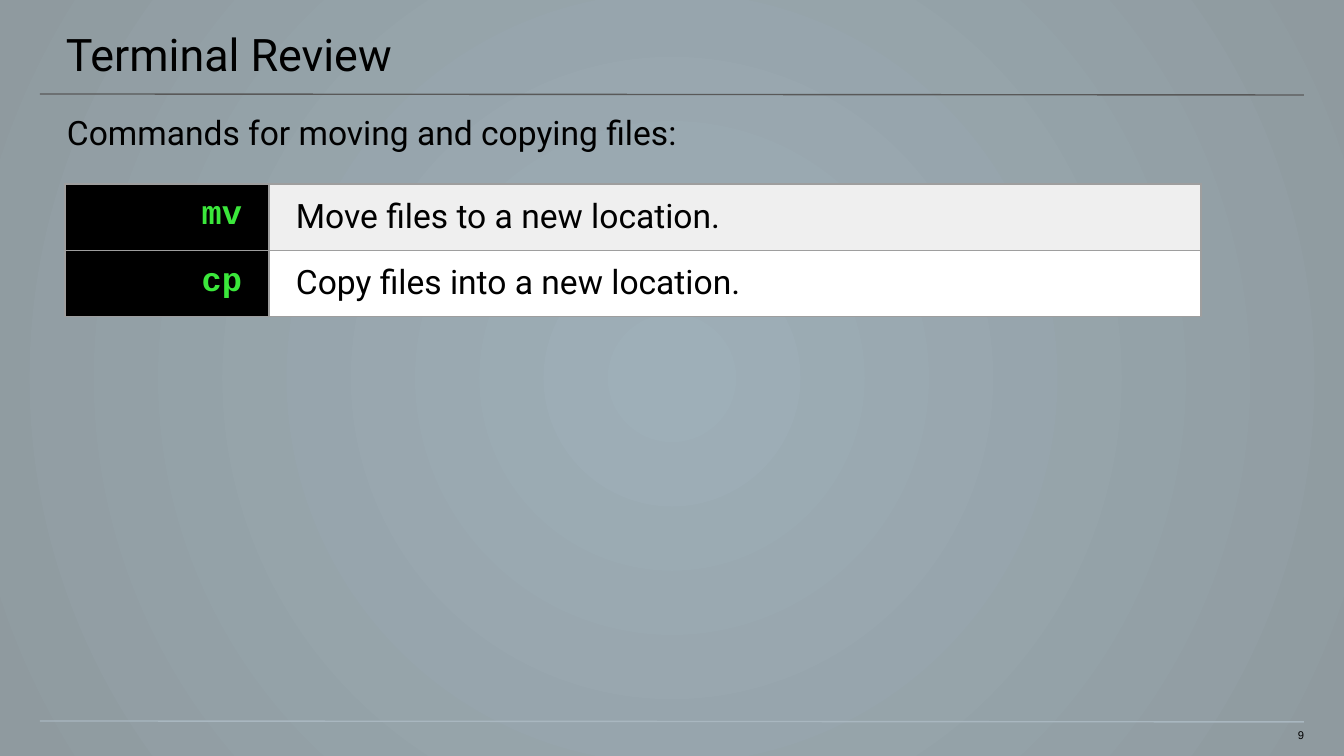
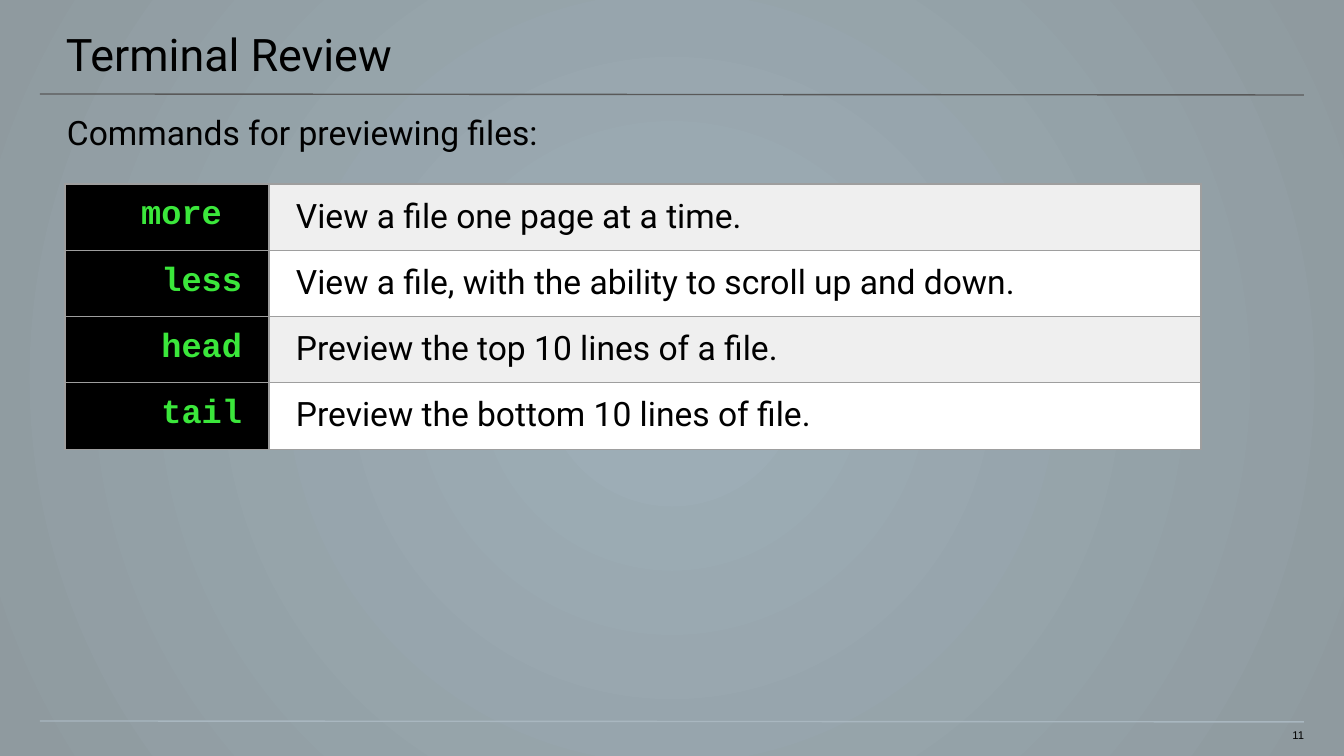
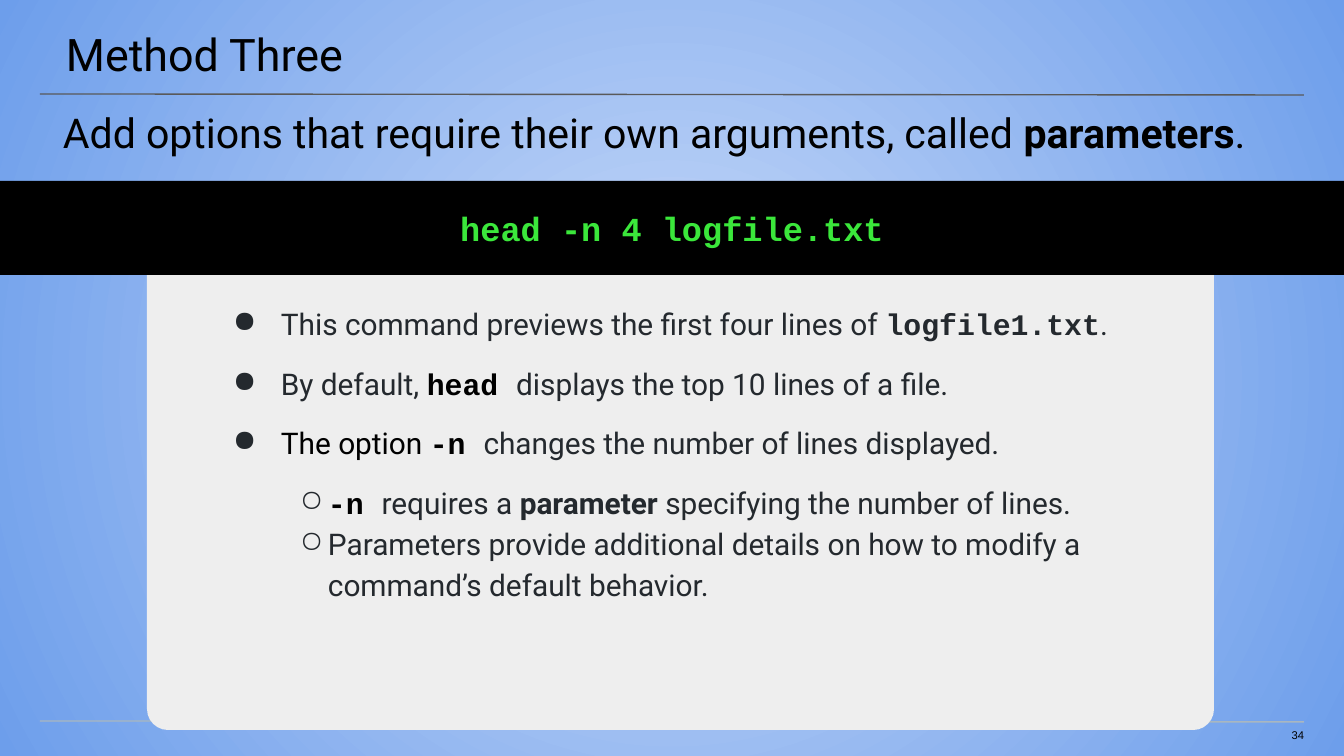
from lxml import etree
from pptx import Presentation
from pptx.dml.color import RGBColor
from pptx.enum.shapes import MSO_CONNECTOR, MSO_SHAPE
from pptx.enum.text import MSO_ANCHOR, PP_ALIGN
from pptx.oxml.ns import qn
from pptx.util import Pt

STRAIGHT = MSO_CONNECTOR.STRAIGHT
RECTANGLE = MSO_SHAPE.RECTANGLE
ROUND_TOP = MSO_SHAPE.ROUND_2_SAME_RECTANGLE
TOP, MIDDLE = MSO_ANCHOR.TOP, MSO_ANCHOR.MIDDLE
LEFT, CENTER, RIGHT = PP_ALIGN.LEFT, PP_ALIGN.CENTER, PP_ALIGN.RIGHT

EMU_PER_PX = 914400 / 134.4
WIDTH, HEIGHT = 1344, 756

COLORS = {
    "ink": "000000",
    "body": "24292E",
    "terminal": "000000",
    "command": "3BE73B",
    "panel": "EEEEEE",
    "odd_row": "EFEFEF",
    "even_row": "FFFFFF",
    "grid": "9E9E9E",
    "title_rule": "595959",
    "footer_rule": "A9B7C0",
    "gray_center": "9EAFB8",
    "gray_edge": "8F9A9F",
    "blue_center": "C9DAF8",
    "blue_edge": "6D9EEB",
}

STYLES = {
    "plain": ("Roboto", "ink", False),
    "strong": ("Roboto", "ink", True),
    "body": ("Roboto", "body", False),
    "body_strong": ("Roboto", "body", True),
    "code": ("Courier New", "ink", True),
    "body_code": ("Courier New", "body", True),
    "command": ("Courier New", "command", True),
    "page": ("Arial", "ink", False),
}

GRAY = ("gray_center", "gray_edge", 32)
BLUE = ("blue_center", "blue_edge", None)

TITLE_BOX = (-1, 0, 1348, 78)
SUBTITLE_BOX = (0, 99, WIDTH, 54)
TABLE_BOX = (65, 184, 1136, 63)
LEAD_BOX = (8, 94, WIDTH, 130)
PANEL_BOX = (147, 266, 1067, 464)
BAND_BOX = (0, 181, WIDTH, 94)
POINTS_BOX = (147, 301, 1078, 332)
PAGE_BOX = (1265, 728, 39, 16)

MOVING = [
    ("mv", "Move files to a new location."),
    ("cp", "Copy files into a new location."),
]
PREVIEWING = [
    ("more ", "View a file one page at a time."),
    ("less", "View a file, with the ability to scroll up and down."),
    ("head", "Preview the top 10 lines of a file."),
    ("tail", "Preview the bottom 10 lines of file."),
]

LEAD = [
    ("Add options that require their own arguments, called ", "plain"),
    ("parameters", "strong"),
    (".", "plain"),
]
POINTS = [
    (0, 1.14, 0, [("This command previews the first four lines of ", "body"),
                  ("logfile1.txt", "body_code"), (".", "body")]),
    (0, 1.14, 10, [("By default, ", "body"), ("head ", "code"),
                   ("displays the top 10 lines of a file.", "body")]),
    (0, 1.14, 10, [("The option ", "plain"), ("-n ", "code"),
                   ("changes the number of lines displayed.", "body")]),
    (1, 1.14, 10, [("-n ", "code"), ("requires a ", "body"), ("parameter", "body_strong"),
                   (" specifying the number of lines.", "body")]),
    (1, 1.15, 0, [("Parameters provide additional details on how to modify a "
                   "command’s default behavior.", "body")]),
]
BULLETS = [("●", 67, -48), ("○", 114, -28)]


def px(length):
    return round(length * EMU_PER_PX)


def rgb(name):
    return RGBColor.from_string(COLORS[name])


def set_insets(holder, insets):
    holder.margin_left, holder.margin_top, holder.margin_right, holder.margin_bottom = map(px, insets)


def write(paragraph, pieces, size, align=LEFT):
    paragraph.alignment = align
    for text, style in pieces:
        run = paragraph.add_run()
        run.text = text
        family, color, bold = STYLES[style]
        run.font.name = family
        run.font.size = Pt(size)
        run.font.bold = bold
        run.font.color.rgb = rgb(color)


def add_text(slide, box, insets):
    frame = slide.shapes.add_textbox(*map(px, box)).text_frame
    frame.word_wrap = True
    frame.vertical_anchor = TOP
    set_insets(frame, insets)
    return frame


def add_line_of_text(slide, box, insets, pieces, size, align=LEFT):
    paragraph = add_text(slide, box, insets).paragraphs[0]
    write(paragraph, pieces, size, align)
    return paragraph


def add_block(slide, kind, box, color):
    block = slide.shapes.add_shape(kind, *map(px, box))
    block.shadow.inherit = False
    block.fill.solid()
    block.fill.fore_color.rgb = rgb(color)
    block.line.fill.background()
    return block


def add_rule(slide, top, color):
    rule = slide.shapes.add_connector(STRAIGHT, px(40), px(top), px(WIDTH - 40), px(top + 1))
    rule.line.color.rgb = rgb(color)
    rule.line.width = Pt(0.75)
    etree.SubElement(rule._element.spPr, qn("a:effectLst"))


def paint_background(slide, center, edge, center_alpha):
    fill = slide.background.fill
    fill.gradient()
    for stop, color, position in zip(fill.gradient_stops, (center, edge), (0, 1)):
        stop.color.rgb = rgb(color)
        stop.position = position
    gradient = slide._element.find(".//" + qn("a:gradFill"))
    if center_alpha:
        center_color = gradient.find(".//" + qn("a:srgbClr"))
        etree.SubElement(center_color, qn("a:alpha"), val=str(center_alpha * 1000))
    gradient.remove(gradient.find(qn("a:lin")))
    circle = etree.SubElement(gradient, qn("a:path"), path="circle")
    etree.SubElement(circle, qn("a:fillToRect"), l="50000", t="50000", r="50000", b="50000")


def add_framed_slide(deck, background, title, page):
    slide = deck.slides.add_slide(deck.slide_layouts[6])
    paint_background(slide, *background)
    add_rule(slide, 94, "title_rule")
    add_rule(slide, 721, "footer_rule")
    add_line_of_text(slide, TITLE_BOX, (67, 27, 40, 13), [(title, "plain")], 24)
    add_line_of_text(slide, PAGE_BOX, (0, 0, 0, 13), [(str(page), "page")], 6, RIGHT)
    return slide


def border_cell(cell):
    properties = cell._tc.get_or_add_tcPr()
    for index, side in enumerate(("lnL", "lnR", "lnT", "lnB")):
        edge = etree.Element(qn("a:" + side), w=str(Pt(0.75)))
        fill = etree.SubElement(edge, qn("a:solidFill"))
        etree.SubElement(fill, qn("a:srgbClr"), val=COLORS["grid"])
        properties.insert(index, edge)


def fill_cell(cell, text, style, color, align):
    cell.fill.solid()
    cell.fill.fore_color.rgb = rgb(color)
    cell.vertical_anchor = TOP
    set_insets(cell, (27, 13, 27, 13))
    write(cell.text_frame.paragraphs[0], [(text, style)], 18, align)
    border_cell(cell)


def add_command_table(slide, box, commands):
    left, top, width, row_height = box
    command_width = 204
    table = slide.shapes.add_table(
        len(commands), 2, px(left), px(top), px(width), px(row_height * len(commands))).table
    table.columns[0].width = px(command_width)
    table.columns[1].width = px(width - command_width)
    for row, (command, meaning) in enumerate(commands):
        stripe = "even_row" if row % 2 else "odd_row"
        fill_cell(table.cell(row, 0), command, "command", "terminal", RIGHT)
        fill_cell(table.cell(row, 1), meaning, "plain", stripe, LEFT)


def add_review_slide(deck, subtitle, commands, page):
    slide = add_framed_slide(deck, GRAY, "Terminal Review", page)
    add_line_of_text(slide, SUBTITLE_BOX, (67, 13, 67, 0), [(subtitle, "plain")], 18)
    add_command_table(slide, TABLE_BOX, commands)


def set_bullet(paragraph, level):
    symbol, margin, indent = BULLETS[level]
    paragraph.level = level
    properties = paragraph._p.get_or_add_pPr()
    properties.set("marL", str(px(margin)))
    properties.set("indent", str(px(indent)))
    color = etree.SubElement(properties, qn("a:buClr"))
    etree.SubElement(color, qn("a:srgbClr"), val=COLORS["body"])
    etree.SubElement(properties, qn("a:buChar"), char=symbol)


def add_points(slide, box, points):
    frame = add_text(slide, box, (67, 0, 67, 134))
    for index, (level, spacing, before, pieces) in enumerate(points):
        paragraph = frame.add_paragraph() if index else frame.paragraphs[0]
        set_bullet(paragraph, level)
        paragraph.line_spacing = spacing
        paragraph.space_before = Pt(before)
        write(paragraph, pieces, 16)


def add_command_band(slide, box, command):
    frame = add_block(slide, RECTANGLE, box, "terminal").text_frame
    frame.word_wrap = True
    frame.vertical_anchor = MIDDLE
    set_insets(frame, (13, 13, 13, 13))
    paragraph = frame.paragraphs[0]
    paragraph.space_after = Pt(8)
    write(paragraph, [(command, "command")], 18, CENTER)


def add_method_slide(deck, title, lead, command, points, page):
    slide = add_framed_slide(deck, BLUE, title, page)
    panel = add_block(slide, ROUND_TOP, PANEL_BOX, "panel")
    panel.rotation = 180
    panel.adjustments[0] = 0.045
    panel.adjustments[1] = 0
    add_points(slide, POINTS_BOX, points)
    add_command_band(slide, BAND_BOX, command)
    opening = add_line_of_text(slide, LEAD_BOX, (13, 13, 13, 13), lead, 22)
    opening._p.get_or_add_pPr().set("marL", str(px(42)))


def main():
    deck = Presentation()
    deck.slide_width, deck.slide_height = px(WIDTH), px(HEIGHT)
    add_review_slide(deck, "Commands for moving and copying files:", MOVING, 9)
    add_review_slide(deck, "Commands for previewing files:", PREVIEWING, 11)
    add_method_slide(deck, "Method Three", LEAD, "head -n 4 logfile.txt", POINTS, 34)
    deck.save("out.pptx")


if __name__ == "__main__":
    main()
